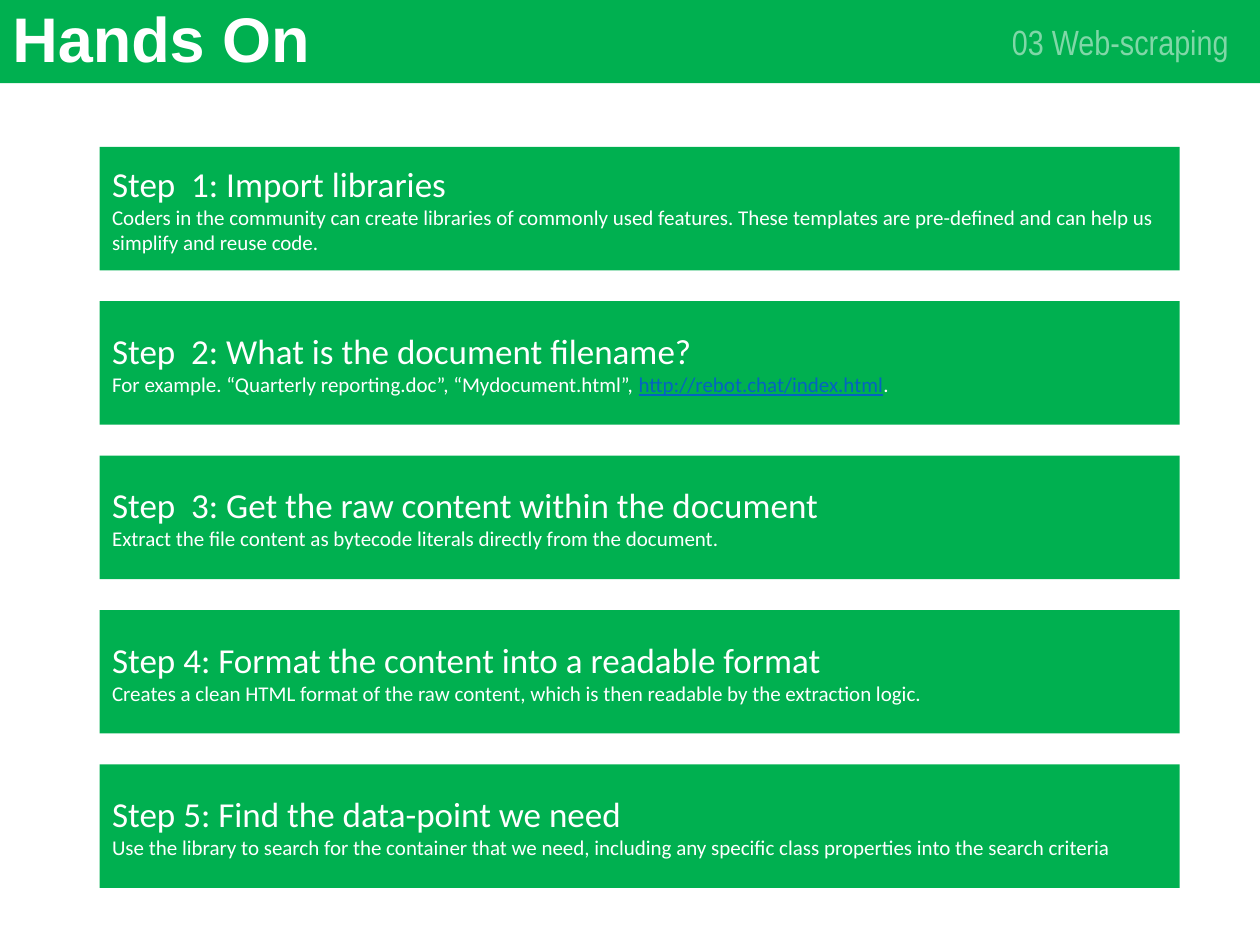
from lxml.etree import SubElement
from pptx import Presentation
from pptx.dml.color import RGBColor
from pptx.enum.shapes import MSO_SHAPE as Shape
from pptx.enum.text import MSO_ANCHOR as Anchor, PP_ALIGN as Align
from pptx.oxml.ns import qn
from pptx.util import Cm, Pt

GREEN, WHITE, LINK_BLUE = "00B050", "FFFFFF", "0563C1"
SLIDE_WIDTH, SLIDE_HEIGHT = 25.4, 19.05

STEPS = [
    ("Step  1: Import libraries",
     [("Coders in the community can create libraries of commonly used features. "
       "These templates are pre-defined and can help us simplify and reuse code.", False)]),
    ("Step  2: What is the document filename?",
     [("For example. “Quarterly reporting.doc”, “Mydocument.html”, ", False),
      ("http://rebot.chat/index.html", True),
      (".", False)]),
    ("Step  3: Get the raw content within the document",
     [("Extract the file content as bytecode literals directly from the document.", False)]),
    ("Step 4: Format the content into a readable format",
     [("Creates a clean HTML format of the raw content, which is then readable "
       "by the extraction logic.", False)]),
    ("Step 5: Find the data-point we need",
     [("Use the library to search for the container that we need, including any "
       "specific class properties into the search criteria", False)]),
]


def paint(target, color):
    """Give a fill or a font the hex colour."""
    fill = getattr(target, "fill", target)
    fill.solid()
    fill.fore_color.rgb = RGBColor.from_string(color)


def add_run(paragraph, text, size, font="Calibri", color=WHITE, bold=False, underline=False):
    """Append one formatted run and return it."""
    run = paragraph.add_run()
    run.text = text
    run.font.name, run.font.size = font, Pt(size)
    run.font.bold, run.font.underline = bold, underline
    paint(run.font, color)
    return run


def add_panel(slide, left, top, width, height):
    """Add a plain green rectangle."""
    panel = slide.shapes.add_shape(Shape.RECTANGLE, Cm(left), Cm(top), Cm(width), Cm(height))
    paint(panel.fill, GREEN)
    panel.line.fill.background()
    panel.shadow.inherit = False
    return panel


def add_label(slide, left, top, width, height, align):
    """Add a vertically centred text box and return its paragraph."""
    frame = slide.shapes.add_textbox(Cm(left), Cm(top), Cm(width), Cm(height)).text_frame
    frame.word_wrap = True
    frame.vertical_anchor = Anchor.MIDDLE
    paragraph = frame.paragraphs[0]
    paragraph.alignment = align
    return paragraph


def add_header(slide, left, top, width, height):
    """Draw the header band with the chapter and the title."""
    add_panel(slide, left, top, width, height)
    chapter = add_label(slide, left + width - 5.7, top + 0.33, 5.32, 1.02, Align.RIGHT)
    chapter_run = add_run(chapter, "03 Web-scraping", 20, "Arial Narrow")
    chapter_color = next(chapter_run.font._element.iter(qn("a:srgbClr")))
    SubElement(chapter_color, qn("a:alpha"), val="50000")
    title = add_label(slide, left, top, 21.9, height, Align.LEFT)
    title.line_spacing = 0.9
    add_run(title, "Hands On", 36, "Arial", bold=True)


def add_step(slide, left, top, width, height, heading, details):
    """Draw one step with its heading and explanation."""
    frame = add_panel(slide, left, top, width, height).text_frame
    frame.word_wrap = True
    frame.vertical_anchor = Anchor.MIDDLE
    heading_line, detail_line = frame.paragraphs[0], frame.add_paragraph()
    heading_line.alignment = detail_line.alignment = Align.LEFT
    add_run(heading_line, heading, 20)
    for text, is_link in details:
        add_run(detail_line, text, 12, color=LINK_BLUE if is_link else WHITE, underline=is_link)


def add_steps(slide, left, top, width, height):
    """Stack the steps evenly in the given box."""
    step_height = 2.49
    pitch = (height - step_height) / (len(STEPS) - 1)
    for index, (heading, details) in enumerate(STEPS):
        add_step(slide, left, top + index * pitch, width, step_height, heading, details)


def main():
    """Build and save the slide."""
    deck = Presentation()
    deck.slide_width, deck.slide_height = Cm(SLIDE_WIDTH), Cm(SLIDE_HEIGHT)
    slide = deck.slides.add_slide(deck.slide_layouts[6])
    add_header(slide, 0, 0, SLIDE_WIDTH, 1.68)
    add_steps(slide, 2.01, 2.96, 21.77, 14.94)
    deck.save("out.pptx")


if __name__ == "__main__":
    main()
